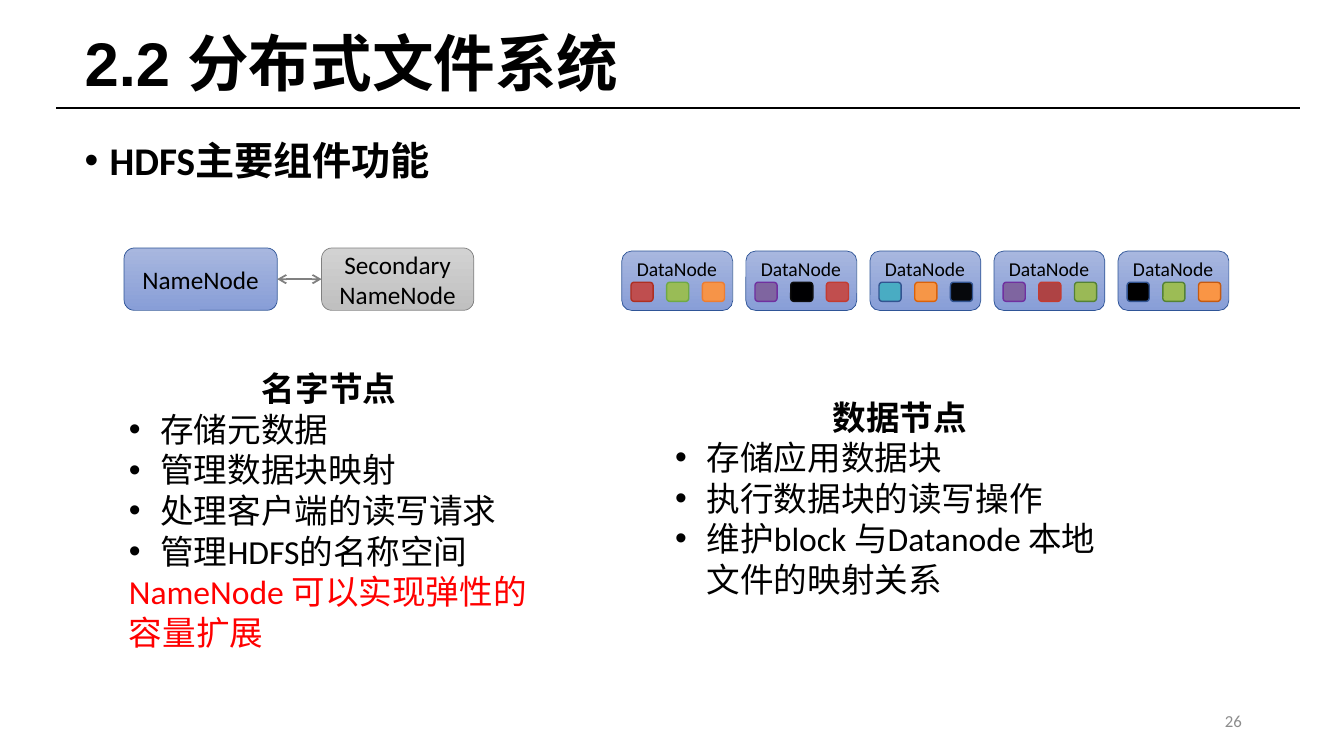
from pptx import Presentation
from pptx.dml.color import RGBColor
from pptx.enum.shapes import MSO_CONNECTOR, MSO_SHAPE
from pptx.enum.text import MSO_ANCHOR, PP_ALIGN
from pptx.oxml.ns import qn
from pptx.util import Pt
from lxml.etree import SubElement

BLACK = RGBColor(0x00, 0x00, 0x00)
RED = RGBColor(0xFF, 0x00, 0x00)
GRAY = RGBColor(0x80, 0x80, 0x80)
PALE = RGBColor(0x8C, 0x8C, 0x8C)
NAVY = RGBColor(0x2F, 0x55, 0x97)
BLUES = RGBColor(0xA8, 0xB7, 0xDF), RGBColor(0x88, 0x9E, 0xD7)
GRAYS = RGBColor(0xD2, 0xD2, 0xD2), RGBColor(0xC0, 0xC0, 0xC0)

# Blocks in each data node: fill, line
NODES = [
    [("BF4E4F", "AE2F22"), ("99BC56", "6FA945"), ("F69448", "ED7D31")],
    [("7F65A0", "7030A0"), ("000002", "0D0D0D"), ("C14E4E", "C33B31")],
    [("49ACC3", "325491"), ("F69647", "DB6209"), ("06080C", "325491")],
    [("7F65A0", "7030A0"), ("AE4344", "C33B31"), ("9AB956", "548235")],
    [("000000", "325491"), ("9CBC55", "548235"), ("F99545", "C55A11")],
]


class Deck:
    font = "Calibri"
    asian = "Noto Sans CJK SC"

    def __init__(self, slide):
        self.shapes = slide.shapes

    def run(self, para, text, size, color=BLACK, bold=False, font=None):
        """Add one styled run of text to a paragraph."""
        run = para.add_run()
        run.text = text
        run.font.size = Pt(size)
        run.font.bold = bold
        run.font.color.rgb = color
        run.font.name = font or self.font
        SubElement(run.font._element, qn("a:ea")).set("typeface", self.asian)

    def bullet(self, para, indent):
        props = para._p.get_or_add_pPr()
        props.set("marL", str(Pt(indent)))
        props.set("indent", str(-Pt(indent)))
        SubElement(props, qn("a:buFont")).set("typeface", "Arial")
        SubElement(props, qn("a:buChar")).set("char", "•")

    def text(self, left, top, width, height, anchor=MSO_ANCHOR.TOP):
        """Add an empty wrapping text box and return its frame."""
        box = self.shapes.add_textbox(Pt(left), Pt(top), Pt(width), Pt(height))
        frame = box.text_frame
        frame.word_wrap = True
        frame.vertical_anchor = anchor
        return frame

    def line(self, start, end, color, weight, arrows=False):
        rule = self.shapes.add_connector(
            MSO_CONNECTOR.STRAIGHT, *map(Pt, start + end))
        rule.line.color.rgb = color
        rule.line.width = Pt(weight)
        if arrows:
            for tag in ("a:headEnd", "a:tailEnd"):
                SubElement(rule.line._ln, qn(tag)).set("type", "arrow")
        SubElement(rule._element.spPr, qn("a:effectLst"))

    def block(self, left, top, width, height, fill, edge, weight):
        """Add a rounded box; a pair of fills makes a downward gradient."""
        shape = self.shapes.add_shape(
            MSO_SHAPE.ROUNDED_RECTANGLE, Pt(left), Pt(top), Pt(width), Pt(height))
        shape.shadow.inherit = False
        if isinstance(fill, RGBColor):
            shape.fill.solid()
            shape.fill.fore_color.rgb = fill
        else:
            shape.fill.gradient()
            shape.fill.gradient_angle = 270
            for stop, color in zip(shape.fill.gradient_stops, fill):
                stop.color.rgb = color
        shape.line.color.rgb = edge
        shape.line.width = Pt(weight)
        return shape

    def server(self, left, width, lines, fills, edge):
        frame = self.block(left, 177.1, width, 44.6, fills, edge, 0.5).text_frame
        frame.vertical_anchor = MSO_ANCHOR.MIDDLE
        frame.margin_left = frame.margin_right = 0
        frame.margin_top = frame.margin_bottom = 0
        for i, text in enumerate(lines):
            para = frame.add_paragraph() if i else frame.paragraphs[0]
            para.alignment = PP_ALIGN.CENTER
            self.run(para, text, 18)

    def store(self, left, chips):
        """Add one data node with its row of stored blocks."""
        self.block(left, 179.3, 79.2, 42.5, BLUES, NAVY, 0.5)
        for i, (fill, edge) in enumerate(chips):
            self.block(left + 6.5 + 25.5 * i, 201.6, 15.8, 13.7,
                       RGBColor.from_string(fill), RGBColor.from_string(edge), 1)
        para = self.text(left + 1.5, 180, 75.6, 24.5).paragraphs[0]
        para.alignment = PP_ALIGN.CENTER
        self.run(para, "DataNode", 14)

    def roles(self, left, top, width, height, head, items, note=None):
        """Add a centred heading, its bullets and an optional red note."""
        frame = self.text(left, top, width, height)
        para = frame.paragraphs[0]
        para.alignment = PP_ALIGN.CENTER
        para.line_spacing = Pt(29)
        self.run(para, head, 24, bold=True, font=self.asian)
        for item in items:
            para = frame.add_paragraph()
            para.line_spacing = Pt(29)
            self.bullet(para, 22.5)
            self.run(para, item, 24)
        if note:
            para = frame.add_paragraph()
            para.line_spacing = Pt(29)
            self.run(para, note, 24, RED)


def main():
    show = Presentation()
    show.slide_width, show.slide_height = Pt(960), Pt(540)
    deck = Deck(show.slides.add_slide(show.slide_layouts[6]))

    deck.line((40.3, 77), (928.8, 77), BLACK, 1.75)
    para = deck.text(53.3, 10.8, 860.4, 66.2, MSO_ANCHOR.MIDDLE).paragraphs[0]
    para.line_spacing = Pt(54)
    deck.run(para, "2.2 分布式文件系统", 44, bold=True, font="Arial")

    para = deck.text(53.3, 91.4, 860.4, 79.2).paragraphs[0]
    para.line_spacing = Pt(36)
    deck.bullet(para, 18)
    deck.run(para, "HDFS主要组件功能", 28, bold=True)

    deck.roles(85, 259.2, 300.2, 211, "名字节点",
               ["存储元数据", "管理数据块映射", "处理客户端的读写请求",
                "管理HDFS的名称空间"],
               "NameNode 可以实现弹性的容量扩展")
    deck.roles(475.2, 279.4, 334.8, 181.4, "数据节点",
               ["存储应用数据块", "执行数据块的读写操作",
                "维护block 与Datanode 本地文件的映射关系"])

    deck.server(88.6, 109.4, ["NameNode"], BLUES, NAVY)
    deck.server(229.7, 108.7, ["Secondary", "NameNode"], GRAYS, GRAY)
    deck.line((198, 199.4), (229.7, 199.4), GRAY, 1.25, arrows=True)

    for i, chips in enumerate(NODES):
        deck.store(444.2 + 88.6 * i, chips)

    para = deck.text(678.2, 500.4, 216, 28.8, MSO_ANCHOR.MIDDLE).paragraphs[0]
    para.alignment = PP_ALIGN.RIGHT
    deck.run(para, "26", 12, PALE)

    show.save("out.pptx")


if __name__ == "__main__":
    main()
